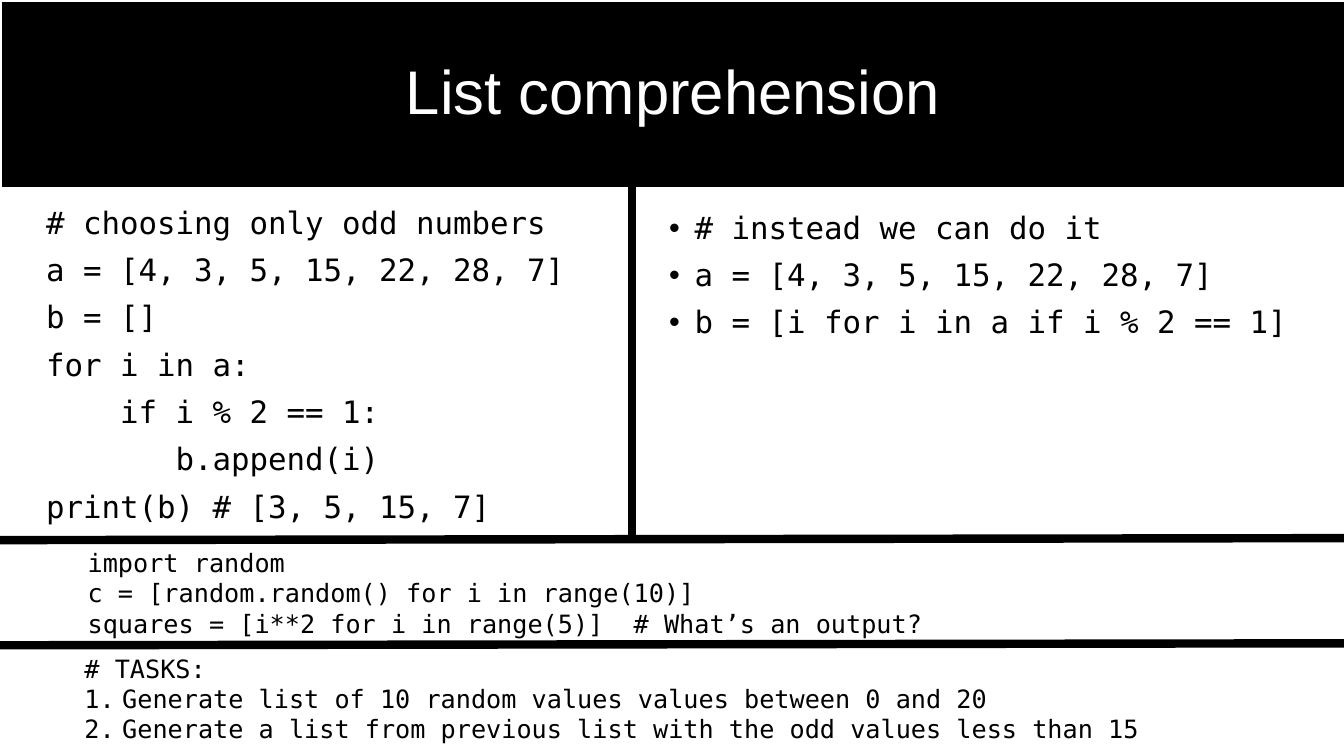
import pptx
import pptx.dml.color
import pptx.enum.shapes
import pptx.enum.text
import pptx.util
import lxml.etree
from pptx.oxml.ns import qn

Cm = pptx.util.Cm
Pt = pptx.util.Pt
ALIGN = pptx.enum.text.PP_ALIGN
ANCHOR = pptx.enum.text.MSO_ANCHOR
CODE_FONT = "DejaVu Sans Mono"
BLACK, WHITE = "000000", "FFFFFF"
WIDTH, HEIGHT = 33.87, 19.05


def color(target, value):
    target.rgb = pptx.dml.color.RGBColor.from_string(value)


def add_mark(paragraph, mark, hang):
    props = paragraph._p.get_or_add_pPr()
    props.set("marL", str(Cm(hang)))
    props.set("indent", str(-Cm(hang)))
    if mark is None:
        lxml.etree.SubElement(props, qn("a:buNone"))
    elif mark == "number":
        lxml.etree.SubElement(props, qn("a:buFont"), typeface="+mj-lt")
        lxml.etree.SubElement(props, qn("a:buAutoNum"), type="arabicPeriod")
    else:
        lxml.etree.SubElement(props, qn("a:buFont"), typeface="Arial")
        lxml.etree.SubElement(props, qn("a:buChar"), char=mark)


def write(frame, lines, size=18, font=CODE_FONT, ink=BLACK, align=ALIGN.LEFT,
          anchor=ANCHOR.TOP, spacing=1.0, before=0, mark=None, hang=0, plain_lines=0):
    frame.word_wrap = True
    frame.auto_size = pptx.enum.text.MSO_AUTO_SIZE.NONE
    frame.vertical_anchor = anchor
    for index, line in enumerate(lines):
        paragraph = frame.add_paragraph() if index else frame.paragraphs[0]
        paragraph.alignment = align
        paragraph.line_spacing = spacing
        paragraph.space_before = Pt(before)
        plain = index < plain_lines
        add_mark(paragraph, None if plain else mark, 0 if plain else hang)
        run = paragraph.add_run()
        run.text = line
        run.font.size = Pt(size)
        run.font.name = font
        color(run.font.color, ink)


def place(shape, box):
    shape.left, shape.top, shape.width, shape.height = map(Cm, box)


def title_banner(title, box):
    place(title, box)
    title.fill.solid()
    color(title.fill.fore_color, BLACK)
    color(title.line.color, WHITE)
    title.line.width = Pt(1.5)
    write(title.text_frame, ["List comprehension"], size=44, font="Arial", ink=WHITE,
          align=ALIGN.CENTER, anchor=ANCHOR.MIDDLE, spacing=0.9)


def code_column(body, box, lines, **look):
    place(body, box)
    write(body.text_frame, lines, size=22, spacing=0.9, before=10, **look)


def code_strip(slide, box, lines, **look):
    strip = slide.shapes.add_textbox(*map(Cm, box))
    write(strip.text_frame, lines, **look)


def divider(slide, start, end):
    line = slide.shapes.add_connector(
        pptx.enum.shapes.MSO_CONNECTOR.STRAIGHT, *map(Cm, start + end))
    color(line.line.color, BLACK)
    line.line.width = Pt(6)
    lxml.etree.SubElement(line._element.spPr, qn("a:effectLst"))


def comprehension_slide(deck, box):
    left, top, width, height = box
    slide = deck.slides.add_slide(deck.slide_layouts[3])
    title, loop_code, short_code = slide.placeholders
    banner_bottom, examples_top, tasks_top = top + 4.72, top + 13.61, top + 16.26
    split = left + 15.93

    title_banner(title, (left + 0.03, top + 0.03, width, 4.7))
    code_column(loop_code, (left + 0.91, top + 5.11, 14.35, 12.09), [
        "# choosing only odd numbers",
        "a = [4, 3, 5, 15, 22, 28, 7]",
        "b = []",
        "for i in a:",
        "    if i % 2 == 1:",
        "       b.append(i)",
        "print(b) # [3, 5, 15, 7]",
    ])
    code_column(short_code, (left + 16.61, top + 5.23, 16.79, 12.09), [
        "# instead we can do it",
        "a = [4, 3, 5, 15, 22, 28, 7]",
        "b = [i for i in a if i % 2 == 1]",
    ], mark="•", hang=0.64)
    code_strip(slide, (left + 1.96, examples_top + 0.06, 29.74, 2.57), [
        "import random",
        "c = [random.random() for i in range(10)]",
        "squares = [i**2 for i in range(5)]  # What’s an output?",
    ])
    code_strip(slide, (left + 1.88, tasks_top + 0.07, 29.74, 2.57), [
        "# TASKS:",
        "Generate list of 10 random values values between 0 and 20",
        "Generate a list from previous list with the odd values less than 15",
    ], mark="number", hang=0.95, plain_lines=1)

    divider(slide, (split, banner_bottom), (split, examples_top + 0.06))
    for edge in (examples_top, tasks_top):
        divider(slide, (left, edge), (left + width, edge - 0.05))


deck = pptx.Presentation()
deck.slide_width, deck.slide_height = Cm(WIDTH), Cm(HEIGHT)
comprehension_slide(deck, (0, 0, WIDTH, HEIGHT))
deck.save("out.pptx")
